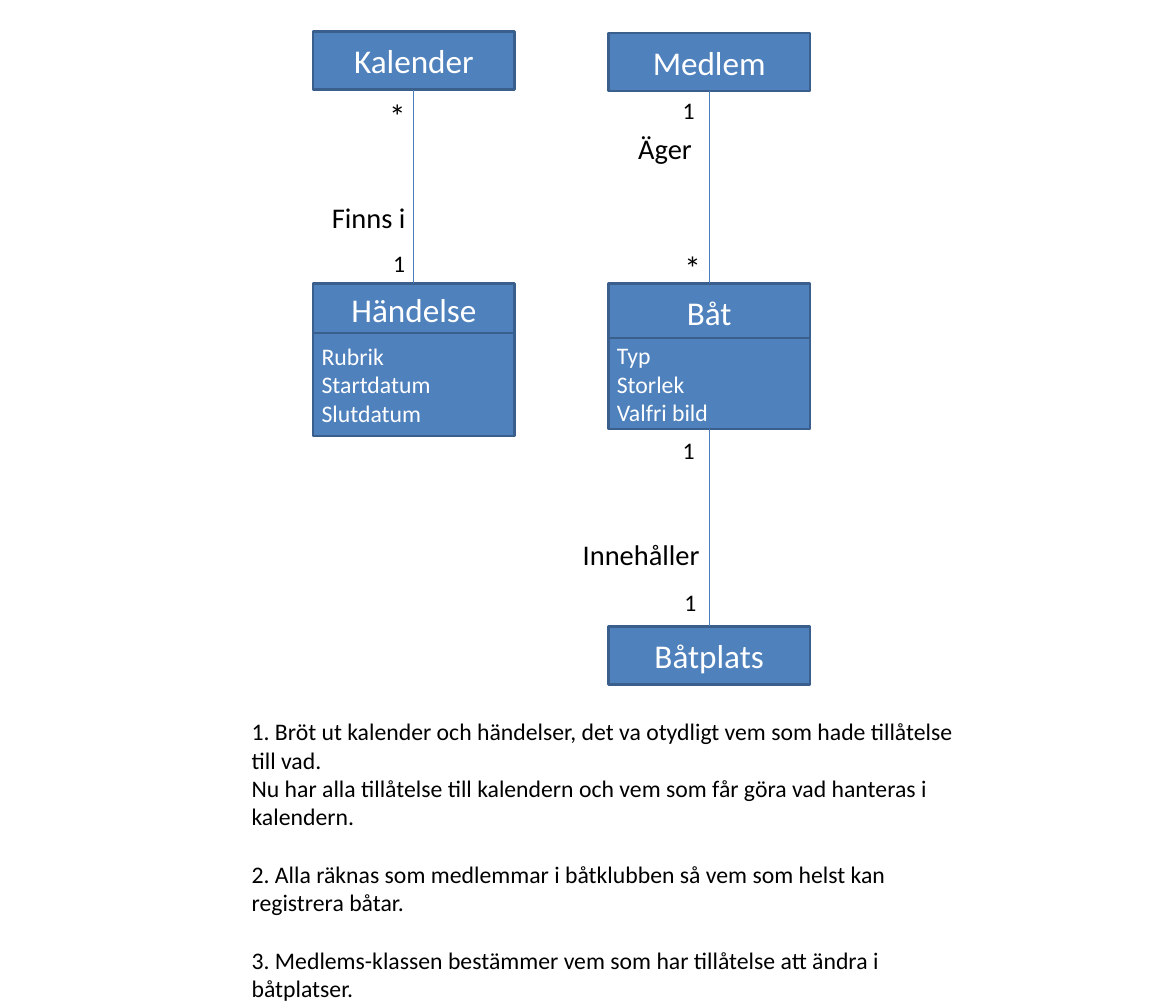
import dataclasses

import pptx
import pptx.dml.color
import pptx.enum.shapes
import pptx.enum.text
import pptx.oxml.ns
import pptx.oxml.xmlchemy
import pptx.presentation
import pptx.shapes.autoshape
import pptx.slide
import pptx.util
from lxml import etree

PX = 9144
FONT = "Calibri"
BOX_FILL, BOX_LINE, LINK_LINE = "4F81BD", "3A5F8C", "4B7EBC"
WHITE, BLACK = "FFFFFF", "000000"
BOX_WIDTH = 236
CALENDAR_X, MEMBER_X = 367, 713
TOP, BOTTOM = 0, 2


@dataclasses.dataclass(frozen=True)
class ClassBox:
    name: str
    x: int
    y: int
    height: int = 68
    attributes: tuple[str, ...] = ()
    attributes_y: int = 0
    attributes_height: int = 0


@dataclasses.dataclass(frozen=True)
class Association:
    start: str
    end: str


@dataclasses.dataclass(frozen=True)
class Label:
    text: str
    x: int
    y: int
    width: int
    height: int
    size: int


@dataclasses.dataclass(frozen=True)
class Note:
    text: str
    space_before: float = 0


CLASSES = [
    ClassBox("Kalender", CALENDAR_X, 37),
    ClassBox("Händelse", CALENDAR_X, 332, 61, ("Rubrik", "Startdatum", "Slutdatum"), 390, 121),
    ClassBox("Medlem", MEMBER_X, 39),
    ClassBox("Båt", MEMBER_X, 332, 68, ("Typ", "Storlek", "Valfri bild"), 396, 107),
    ClassBox("Båtplats", MEMBER_X, 734),
]

ASSOCIATIONS = [
    Association("Kalender", "Händelse"),
    Association("Medlem", "Båt"),
    Association("Båt", "Båtplats"),
]

LABELS = [
    Label("*", 446, 107, 32, 57, 28),
    Label("Finns i", 379, 229, 135, 50, 24),
    Label("1", 451, 287, 33, 44, 20),
    Label("1", 790, 107, 33, 44, 20),
    Label("Äger", 738, 149, 109, 50, 24),
    Label("*", 792, 285, 32, 57, 28),
    Label("1", 790, 506, 33, 44, 20),
    Label("Innehåller", 673, 624, 195, 50, 24),
    Label("1", 792, 684, 33, 44, 20),
]

NOTES = [
    Note("1. Bröt ut kalender och händelser, det va otydligt vem som hade tillåtelse till vad."),
    Note("Nu har alla tillåtelse till kalendern och vem som får göra vad hanteras i kalendern."),
    Note("2. Alla räknas som medlemmar i båtklubben så vem som helst kan registrera båtar.", 24.4),
    Note("3. Medlems-klassen bestämmer vem som har tillåtelse att ändra i båtplatser.", 24.4),
]


def px(value: int) -> pptx.util.Emu:
    return pptx.util.Emu(value * PX)


def color(value: str) -> pptx.dml.color.RGBColor:
    return pptx.dml.color.RGBColor.from_string(value)


def write(
    s: pptx.shapes.autoshape.Shape, notes: list[Note], size: int, font_color: str, centered: bool = False
) -> None:
    align = pptx.enum.text.PP_ALIGN
    tf = s.text_frame
    tf.word_wrap = True
    for i, note in enumerate(notes):
        p = tf.add_paragraph() if i else tf.paragraphs[0]
        p.alignment = align.CENTER if centered else align.LEFT
        p.space_before = pptx.util.Pt(note.space_before)
        r = p.add_run()
        r.text = note.text
        r.font.name = FONT
        r.font.size = pptx.util.Pt(size)
        r.font.color.rgb = color(font_color)


def add_box(sp: pptx.slide.Slide, x: int, y: int, height: int) -> pptx.shapes.autoshape.Shape:
    s = sp.shapes.add_shape(
        pptx.enum.shapes.MSO_SHAPE.RECTANGLE, px(x), px(y), px(BOX_WIDTH), px(height)
    )
    s.shadow.inherit = False
    s.fill.solid()
    s.fill.fore_color.rgb = color(BOX_FILL)
    s.line.color.rgb = color(BOX_LINE)
    s.line.width = pptx.util.Pt(2)
    s.text_frame.vertical_anchor = pptx.enum.text.MSO_ANCHOR.MIDDLE
    return s


def add_class(
    sp: pptx.slide.Slide, box: ClassBox
) -> tuple[pptx.shapes.autoshape.Shape, pptx.shapes.autoshape.Shape]:
    header = add_box(sp, box.x, box.y, box.height)
    write(header, [Note(box.name)], 28, WHITE, centered=True)
    if not box.attributes:
        return header, header
    body = add_box(sp, box.x, box.attributes_y, box.attributes_height)
    write(body, [Note(attribute) for attribute in box.attributes], 20, WHITE)
    return header, body


def add_association(
    sp: pptx.slide.Slide, start: pptx.shapes.autoshape.Shape, end: pptx.shapes.autoshape.Shape
) -> None:
    s = sp.shapes.add_connector(pptx.enum.shapes.MSO_CONNECTOR.STRAIGHT, 0, 0, 0, 0)
    s.begin_connect(start, BOTTOM)
    s.end_connect(end, TOP)
    s.line.color.rgb = color(LINK_LINE)
    s.line.width = pptx.util.Pt(0.75)
    etree.SubElement(s._element.spPr, pptx.oxml.ns.qn("a:effectLst"))


def add_text(
    sp: pptx.slide.Slide, x: int, y: int, width: int, height: int, notes: list[Note], size: int
) -> None:
    s = sp.shapes.add_textbox(px(x), px(y), px(width), px(height))
    write(s, notes, size, BLACK)
    s.text_frame.auto_size = pptx.enum.text.MSO_AUTO_SIZE.SHAPE_TO_FIT_TEXT


def build() -> pptx.presentation.Presentation:
    prs = pptx.Presentation()
    prs.slide_width, prs.slide_height = px(1378), px(1181)
    sp = prs.slides.add_slide(prs.slide_layouts[6])
    parts = {box.name: add_class(sp, box) for box in CLASSES}
    for link in ASSOCIATIONS:
        add_association(sp, parts[link.start][1], parts[link.end][0])
    for label in LABELS:
        add_text(sp, label.x, label.y, label.width, label.height, [Note(label.text)], label.size)
    add_text(sp, 285, 835, 850, 347, NOTES, 20)
    return prs


if __name__ == "__main__":
    build().save("out.pptx")
